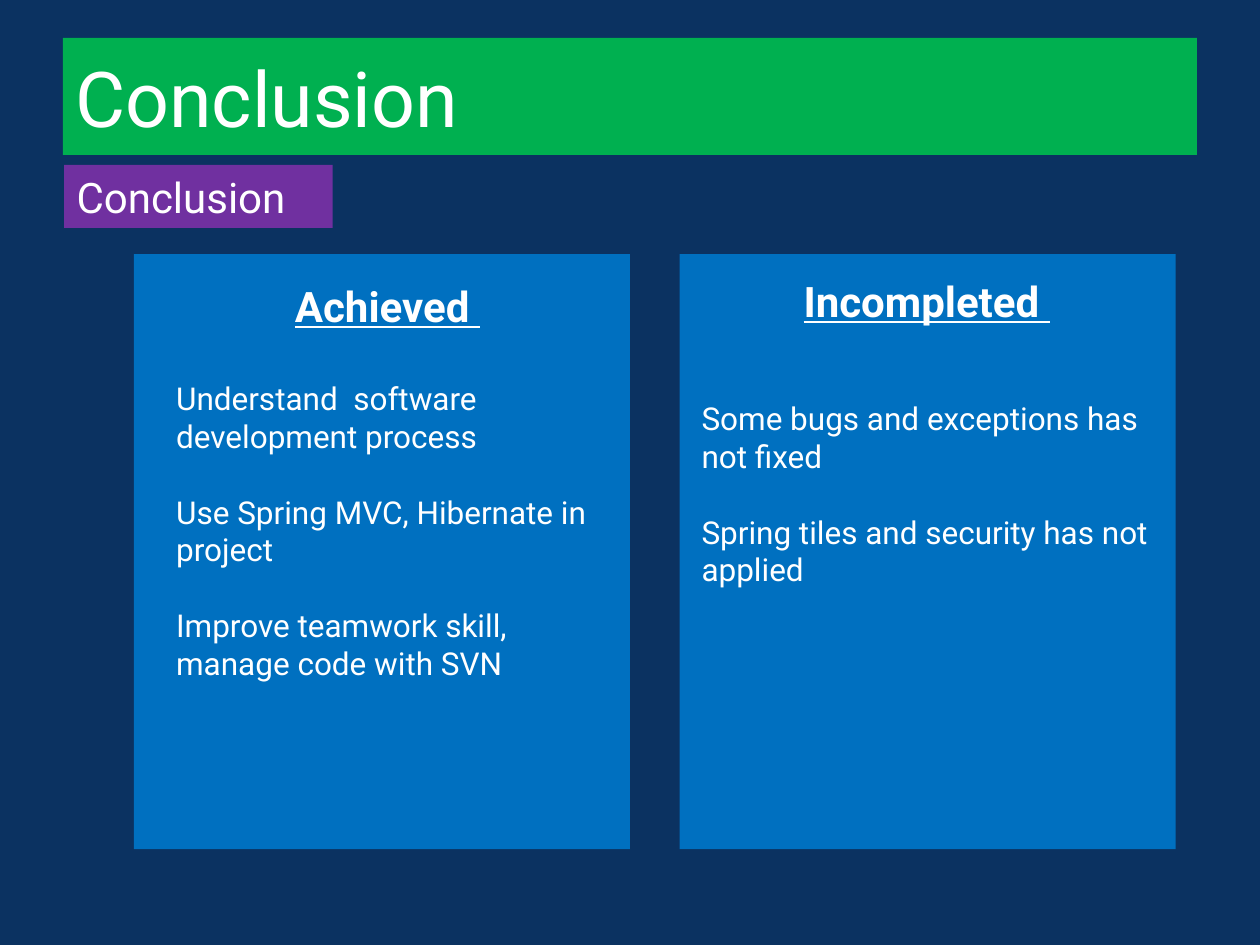
from pptx import Presentation
from pptx.dml.color import RGBColor
from pptx.enum.shapes import MSO_SHAPE
from pptx.enum.text import MSO_ANCHOR, PP_ALIGN
from pptx.util import Pt

NAVY = RGBColor(0x0B, 0x32, 0x61)
GREEN = RGBColor(0x00, 0xB0, 0x50)
PURPLE = RGBColor(0x70, 0x30, 0xA0)
BLUE = RGBColor(0x00, 0x70, 0xC0)
WHITE = RGBColor(0xFF, 0xFF, 0xFF)
FONT = "Roboto"

# Content: boxes are left, top, width, height in points
TITLE = ("Conclusion", (36, 21.6, 648, 67))
SUBTITLE = ("Conclusion", (36.7, 94.3, 153.4, 36))
COLUMNS = [
    {"heading": "Achieved ", "heading_box": (110.9, 157, 221, 36),
     "points": ["Understand  software development process",
                "Use Spring MVC, Hibernate in project",
                "Improve teamwork skill, manage code with SVN"],
     "points_box": (93.6, 213.1, 254.9, 181.4)},
    {"heading": "Incompleted ", "heading_box": (382.3, 154.1, 294.5, 36),
     "points": ["Some bugs and exceptions has not fixed",
                "Spring tiles and security has not applied"],
     "points_box": (393.8, 224.6, 272.2, 159.8)},
]
PANEL_LEFT, PANEL_TOP, PANEL_W, PANEL_H = 76.5, 145.2, 283.5, 340.1
PANEL_STEP = 311.8
POINT_GAP = Pt(21.6)


def add_panel(slide, box, color):
    s = slide.shapes.add_shape(MSO_SHAPE.RECTANGLE, *map(Pt, box))
    s.shadow.inherit = False
    s.fill.solid()
    s.fill.fore_color.rgb = color
    s.line.fill.background()
    return s


def write(s, lines, size, align=PP_ALIGN.LEFT, anchor=MSO_ANCHOR.TOP,
          strong=False, gap=0):
    tf = s.text_frame
    tf.word_wrap = True
    tf.vertical_anchor = anchor
    tf.text = "\n".join(lines)
    for i, p in enumerate(tf.paragraphs):
        p.alignment = align
        if i:
            p.space_before = gap
        font = p.runs[0].font
        font.name, font.size = FONT, Pt(size)
        font.color.rgb = WHITE
        if strong:
            font.bold = font.underline = True


prs = Presentation()
prs.slide_width, prs.slide_height = Pt(720), Pt(540)
slide = prs.slides.add_slide(prs.slide_layouts[6])
slide.background.fill.solid()
slide.background.fill.fore_color.rgb = NAVY

# Title bars
text, box = TITLE
write(add_panel(slide, box, GREEN), [text], 44, anchor=MSO_ANCHOR.MIDDLE)
text, box = SUBTITLE
write(add_panel(slide, box, PURPLE), [text], 24)

# Columns: panel, heading, points
for i, column in enumerate(COLUMNS):
    add_panel(slide, (PANEL_LEFT + i * PANEL_STEP, PANEL_TOP, PANEL_W, PANEL_H), BLUE)
    heading = slide.shapes.add_textbox(*map(Pt, column["heading_box"]))
    write(heading, [column["heading"]], 24, align=PP_ALIGN.CENTER, strong=True)
    points = slide.shapes.add_textbox(*map(Pt, column["points_box"]))
    write(points, column["points"], 18, gap=POINT_GAP)

prs.save("out.pptx")
